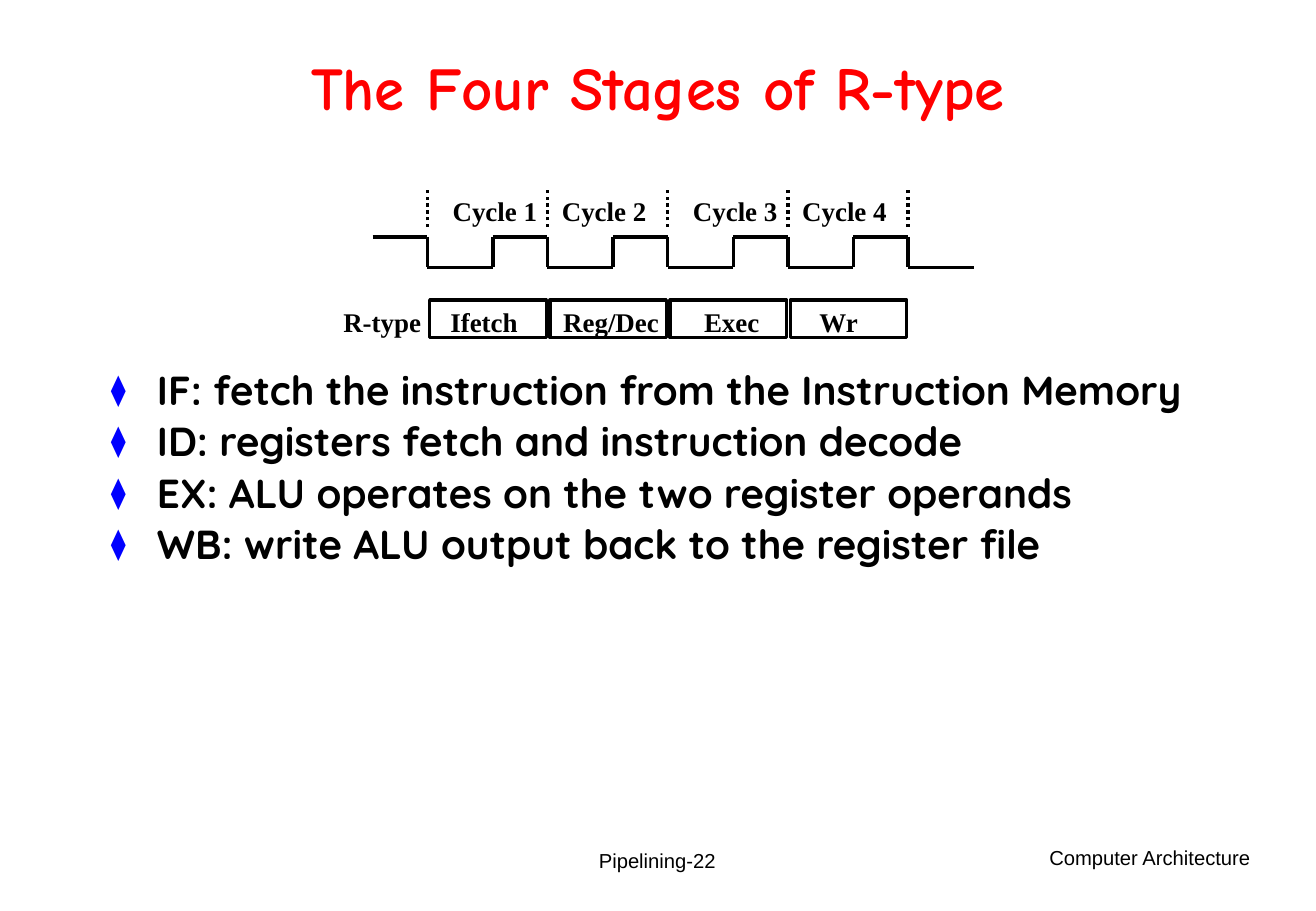
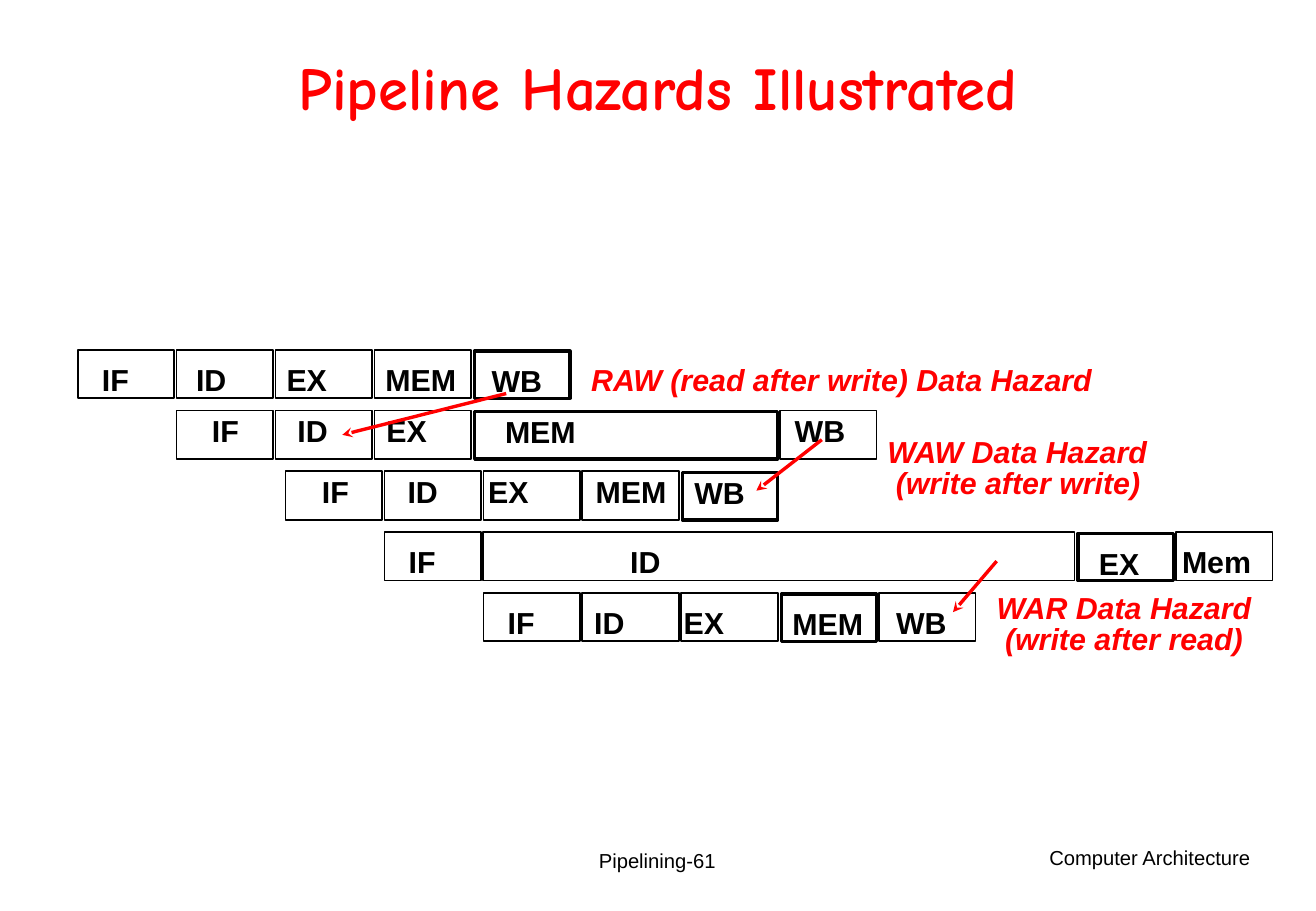
import itertools

import pptx
import pptx.dml.color
import pptx.enum.dml
import pptx.enum.shapes
import pptx.enum.text
import pptx.oxml
import pptx.oxml.ns

inches = pptx.util.Inches
points = pptx.util.Pt
hex_color = pptx.dml.color.RGBColor.from_string
qn = pptx.oxml.ns.qn
ALIGN = pptx.enum.text.PP_ALIGN
ANCHOR = pptx.enum.text.MSO_ANCHOR
RECTANGLE = pptx.enum.shapes.MSO_SHAPE.RECTANGLE
STRAIGHT = pptx.enum.shapes.MSO_CONNECTOR.STRAIGHT

WIDTH, HEIGHT = 10.84, 7.5
BLACK, RED, BLUE = "000000", "FF0000", "0000FF"

TITLE = {"name": "Comic Neue", "size": points(36), "bold": True, "color": RED}
BODY = {"name": "Quicksand", "size": points(24), "bold": True, "color": BLACK}
FOOTER = {"name": "Arial", "size": points(12), "color": BLACK}
CYCLE = {"name": "Times New Roman", "size": points(16), "bold": True, "color": BLACK}
STAGE = {"name": "Arial", "size": points(18), "bold": True, "color": BLACK}
HAZARD = {**STAGE, "italic": True, "color": RED}
TIGHT = {"line_spacing": 0.85}


def write(shape, lines, font, para_format, frame_format):
    """Fill a shape with one paragraph per line and format every level of it."""
    frame = shape.text_frame
    frame.word_wrap = True
    frame.auto_size = pptx.enum.text.MSO_AUTO_SIZE.NONE
    for name, value in frame_format.items():
        setattr(frame, name, value)
    for index, line in enumerate(lines):
        para = frame.add_paragraph() if index else frame.paragraphs[0]
        para.text = line
        for name, value in para_format.items():
            setattr(para, name, value)
        for span in para.runs:
            for name, value in font.items():
                if name == "color":
                    span.font.color.rgb = hex_color(value)
                else:
                    setattr(span.font, name, value)


def draw_line(page, start, end, color=BLACK, dash=None, arrow=False):
    line = page.shapes.add_connector(STRAIGHT, *map(inches, start + end))
    line.line.width = points(2)
    line.line.color.rgb = hex_color(color)
    if dash:
        line.line.dash_style = dash
    if arrow:
        tail = line.line._get_or_add_ln().makeelement(qn("a:tailEnd"), {"type": "stealth"})
        line.line._get_or_add_ln().append(tail)
    properties = line._element.spPr
    properties.append(properties.makeelement(qn("a:effectLst"), {}))


deck = pptx.Presentation()
deck.slide_width, deck.slide_height = inches(WIDTH), inches(HEIGHT)

# Shared title and footers: layout, title, page number, share of width left as margin
pages = []
for layout, title, number, margin in [
    (1, "The Four Stages of R-type", 22, 0.075),
    (5, "Pipeline Hazards Illustrated", 61, 0.066),
]:
    page = deck.slides.add_slide(deck.slide_layouts[layout])
    pages.append(page)
    heading = page.shapes.title
    heading.left, heading.top = inches(margin * WIDTH), inches(0.036 * HEIGHT)
    heading.width, heading.height = inches((1 - 2 * margin) * WIDTH), inches(0.13 * HEIGHT)
    write(heading, [title], TITLE, {"alignment": ALIGN.CENTER, **TIGHT},
          {"vertical_anchor": ANCHOR.MIDDLE})
    for text, left, top, width, alignment, anchor in [
        ("Computer Architecture", 7.53, 6.91, 2.87, ALIGN.RIGHT, ANCHOR.TOP),
        (f"Pipelining-{number}", 3.7, 6.83, 3.43, ALIGN.CENTER, ANCHOR.MIDDLE),
    ]:
        box = page.shapes.add_textbox(*map(inches, (left, top, width, 0.5)))
        write(box, [text], FOOTER, {"alignment": alignment}, {"vertical_anchor": anchor})
stages_page, hazards_page = pages

# Four stages: clock wave, cycle marks and stage boxes share one column grid
CLOCK_LEFT, CYCLE_WIDTH, LOW_WIDTH = 3.52, 0.99, 0.54
HIGH, LOW, STAGE_TOP = 1.95, 2.2, 2.47
edges = [CLOCK_LEFT + index * CYCLE_WIDTH for index in range(5)]

wave = [(edges[0] - 0.45, HIGH)]
for edge in edges:
    wave += [(edge, HIGH), (edge, LOW), (edge + LOW_WIDTH, LOW), (edge + LOW_WIDTH, HIGH)]
    draw_line(stages_page, (edge, 1.87), (edge, 1.54),
              dash=pptx.enum.dml.MSO_LINE.ROUND_DOT)
for start, end in itertools.pairwise(wave[:-1]):
    draw_line(stages_page, start, end)

labels = [("R-type", 2.73, STAGE_TOP)]
labels += [(f"Cycle {index + 1}", edges[index] + (0.02 if index % 2 else 0.11), 1.55)
           for index in range(4)]
for text, left, top in labels:
    box = stages_page.shapes.add_textbox(*map(inches, (left, top, CYCLE_WIDTH, 0.37)))
    write(box, [text], CYCLE, {}, {})

for edge, (text, indent) in zip(
        edges, [("Ifetch", 0.17), ("Reg/Dec", 0.11), ("Exec", 0.28), ("Wr", 0.24)]):
    box = stages_page.shapes.add_shape(
        RECTANGLE, *map(inches, (edge + 0.02, STAGE_TOP, CYCLE_WIDTH - 0.03, 0.31)))
    box.shadow.inherit = False
    box.fill.background()
    box.line.color.rgb, box.line.width = hex_color(BLACK), points(2)
    write(box, [text], CYCLE, {"alignment": ALIGN.LEFT},
          {"vertical_anchor": ANCHOR.TOP, "margin_left": inches(indent),
           "margin_right": 0, "margin_bottom": 0})

body = stages_page.placeholders[1]
body.left, body.top = inches(0.075 * WIDTH), inches(0.4 * HEIGHT)
body.width, body.height = inches(0.85 * WIDTH), inches(0.52 * HEIGHT)
write(body, [
    "IF: fetch the instruction from the Instruction Memory",
    "ID: registers fetch and instruction decode",
    "EX: ALU operates on the two register operands",
    "WB: write ALU output back to the register file",
], BODY, {"line_spacing": 0.9, "space_before": points(4.5)}, {"vertical_anchor": ANCHOR.TOP})
for para in body.text_frame.paragraphs:
    settings = para._p.get_or_add_pPr()
    settings.set("marL", str(inches(0.38)))
    settings.set("indent", str(-inches(0.38)))
    for markup in (f'<a:buClr {{}}><a:srgbClr val="{BLUE}"/></a:buClr>',
                   '<a:buSzPct {} val="75000"/>', '<a:buChar {} char="⧫"/>'):
        settings.append(pptx.oxml.parse_xml(markup.format(pptx.oxml.ns.nsdecls("a"))))

# Hazards: each row has its first column, text drop and (stage, columns, indent, heavy)
GRID_LEFT, GRID_TOP, COLUMN, ROW = 0.64, 2.88, 0.815, 0.5
instructions = [
    (0, 0.14, [("IF", 1, 0.2, False), ("ID", 1, 0.16, False), ("EX", 1, 0.09, False),
               ("MEM", 1, 0.09, False), ("WB", 1, 0.14, True)]),
    (1, 0.06, [("IF", 1, 0.29, False), ("ID", 1, 0.18, False), ("EX", 1, 0.1, False),
               ("MEM", 3.1, 0.25, True), ("WB", 1, 0.12, False)]),
    (2.1, 0.06, [("IF", 1, 0.3, False), ("ID", 1, 0.19, False), ("EX", 1, 0.04, False),
                 ("MEM", 1, 0.11, False), ("WB", 1, 0.1, True)]),
    (3.1, 0.14, [("IF", 1, 0.2, False), ("ID", 6, 1.21, False), ("EX", 1, 0.17, True),
                 ("Mem", 1, 0.05, False)]),
    (4.1, 0.14, [("IF", 1, 0.2, False), ("ID", 1, 0.1, False), ("EX", 1, 0.02, False),
                 ("MEM", 1, 0.09, True), ("WB", 1, 0.14, False)]),
]
for row, (column, drop, stages) in enumerate(instructions):
    for text, columns, indent, heavy in stages:
        inset = 0.01 if heavy else 0
        box = hazards_page.shapes.add_shape(RECTANGLE, *map(inches, (
            GRID_LEFT + column * COLUMN + inset, GRID_TOP + row * ROW + inset,
            columns * COLUMN - 0.02 - inset, 0.4 - inset)))
        box.shadow.inherit = False
        box.fill.background()
        box.line.color.rgb, box.line.width = hex_color(BLACK), points(2 if heavy else 1)
        write(box, [text], STAGE, {"alignment": ALIGN.LEFT, **TIGHT},
              {"vertical_anchor": ANCHOR.TOP, "margin_left": inches(indent),
               "margin_top": inches(drop), "margin_right": 0, "margin_bottom": 0})
        column += columns

for text, left, top, width, start, end in [
    ("RAW (read after write) Data Hazard", 4.8, 2.99, 4.6, (4.17, 3.24), (2.82, 3.58)),
    ("WAW Data Hazard\v (write after write)", 7.24, 3.58, 2.5, (6.77, 3.62), (6.23, 4.04)),
    ("WAR Data Hazard\v (write after read)", 8.14, 4.87, 2.5, (8.21, 4.62), (7.85, 5.04)),
]:
    draw_line(hazards_page, start, end, color=RED, arrow=True)
    box = hazards_page.shapes.add_textbox(*map(inches, (left, top, width, 0.57)))
    write(box, [text], HAZARD, TIGHT,
          {"margin_left": inches(0.07), "margin_top": inches(0.03)})

deck.save("out.pptx")
